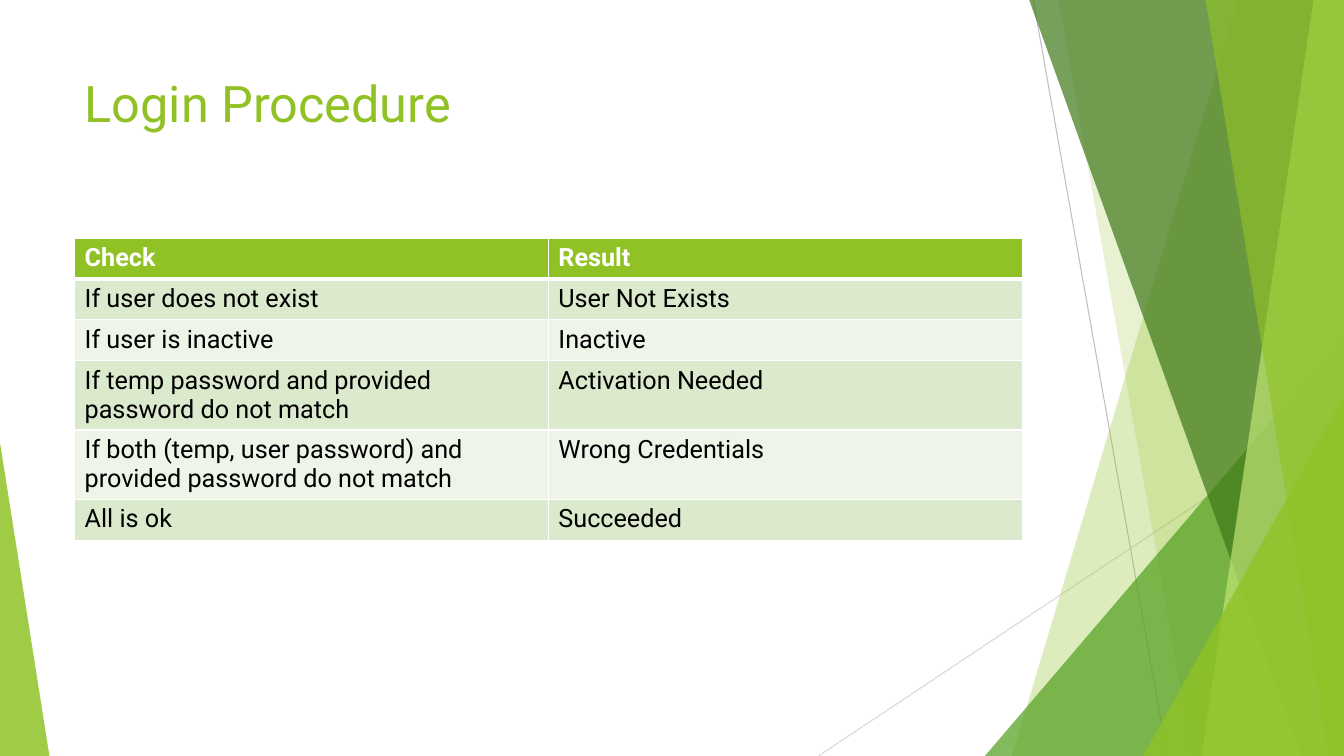
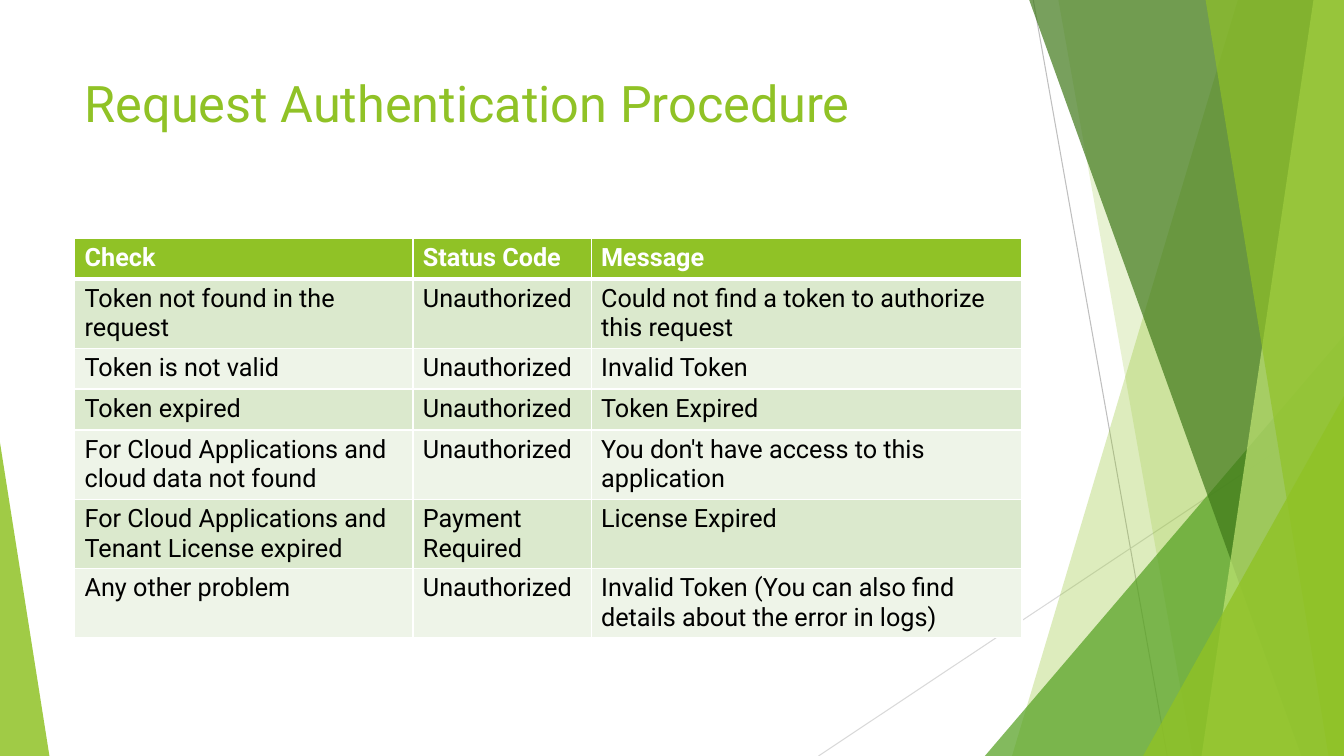
from dataclasses import dataclass
from typing import Any

from lxml import etree
from pptx import Presentation
from pptx.dml.color import RGBColor
from pptx.enum.shapes import MSO_CONNECTOR, MSO_SHAPE
from pptx.enum.text import MSO_ANCHOR, MSO_AUTO_SIZE, PP_ALIGN
from pptx.oxml.ns import qn
from pptx.util import Inches, Pt

STRAIGHT = MSO_CONNECTOR.STRAIGHT
TRIANGLE = MSO_SHAPE.ISOSCELES_TRIANGLE
TOP = MSO_ANCHOR.TOP
LEFT = PP_ALIGN.LEFT
NO_AUTOFIT = MSO_AUTO_SIZE.NONE
TITLE_ONLY = 5


@dataclass(frozen=True)
class Theme:
    """Colours, font and type sizes of the deck."""
    font: str = "Roboto"
    title_size: float = 36
    table_size: float = 18
    lime: str = "90C226"
    green: str = "54A021"
    forest: str = "3F7819"
    pale_lime: str = "C0E474"
    dark_hairline: str = "BFBFBF"
    light_hairline: str = "D9D9D9"
    white: str = "FFFFFF"
    black: str = "000000"
    stripes: tuple = ("DBE9CD", "EEF4E8")
    hairline: float = 0.75
    cell_rule: float = 1
    header_rule: float = 3


# Positions are percentages of the slide's width and height.
MARGIN, CONTENT_WIDTH = 5.55, 70.5
TITLE_TOP, TITLE_HEIGHT = 8.93, 19.2
TABLE_TOP, ROW_HEIGHT = 31.47, 5.42


@dataclass
class Deck:
    """Draws themed elements on the current slide."""
    prs: Any
    theme: Theme
    slide: Any = None

    def x(self, percent):
        """Turn a share of the slide's width into a length."""
        return round(self.prs.slide_width * percent / 100)

    def y(self, percent):
        """Turn a share of the slide's height into a length."""
        return round(self.prs.slide_height * percent / 100)

    def new_slide(self, heading):
        """Start a slide with the shared title and facets."""
        self.slide = self.prs.slides.add_slide(self.prs.slide_layouts[TITLE_ONLY])
        self.facets()
        self.title(heading)

    def add_text(self, frame, text, size, color, bold=False):
        """Put one left-aligned run in a text frame."""
        paragraph = frame.paragraphs[0]
        paragraph.alignment = LEFT
        run = paragraph.add_run()
        run.text = text
        run.font.name = self.theme.font
        run.font.size = Pt(size)
        run.font.bold = bold
        run.font.color.rgb = RGBColor.from_string(color)

    def title(self, heading):
        """Place and format the title placeholder."""
        title = self.slide.shapes.title
        title.left, title.top = self.x(MARGIN), self.y(TITLE_TOP)
        title.width, title.height = self.x(CONTENT_WIDTH), self.y(TITLE_HEIGHT)
        frame = title.text_frame
        frame.word_wrap = True
        frame.auto_size = NO_AUTOFIT
        frame.vertical_anchor = TOP
        self.add_text(frame, heading, self.theme.title_size, self.theme.lime)

    def hairline(self, start, end, color):
        """Draw a thin line between two points."""
        line = self.slide.shapes.add_connector(
            STRAIGHT, self.x(start[0]), self.y(start[1]), self.x(end[0]), self.y(end[1]))
        line.line.color.rgb = RGBColor.from_string(color)
        line.line.width = Pt(self.theme.hairline)
        etree.SubElement(line._element.spPr, qn("a:effectLst"))

    def tint(self, shape, color, opacity):
        """Give a shape a translucent fill, without line or shadow."""
        shape.shadow.inherit = False
        shape.line.fill.background()
        shape.fill.solid()
        shape.fill.fore_color.rgb = RGBColor.from_string(color)
        fill_color = shape._element.spPr.find(qn("a:solidFill")).find(qn("a:srgbClr"))
        etree.SubElement(fill_color, qn("a:alpha"), val=str(opacity * 1000))

    def band(self, top_x, bottom_x, color, opacity):
        """Draw a full-height facet from a slanted edge to the right side."""
        outline = self.slide.shapes.build_freeform(self.x(top_x), 0, scale=1.0)
        right, bottom = self.x(100), self.y(100)
        outline.add_line_segments(
            [(right, 0), (right, bottom), (self.x(bottom_x), bottom)], close=True)
        self.tint(outline.convert_to_shape(), color, opacity)

    def corner(self, left, right, top, apex, color, opacity):
        """Draw a triangle standing on the slide's bottom edge."""
        triangle = self.slide.shapes.add_shape(
            TRIANGLE, self.x(left), self.y(top), self.x(right - left), self.y(100 - top))
        triangle.adjustments[0] = apex
        self.tint(triangle, color, opacity)

    def facets(self):
        """Draw the decoration that every slide shares."""
        theme = self.theme
        self.hairline((76.88, 0), (86.85, 100), theme.dark_hairline)
        self.hairline((100, 53.73), (60.9, 100), theme.light_hairline)
        self.band(92.1, 75.3, theme.lime, 30)
        self.band(78.75, 88.73, theme.lime, 20)
        self.corner(73.28, 100, 44.4, 1, theme.green, 72)
        self.band(76.58, 96.83, theme.forest, 70)
        self.band(97.73, 89.4, theme.pale_lime, 70)
        self.band(89.7, 98.85, theme.lime, 65)
        self.corner(85.05, 100, 52.4, 1, theme.lime, 80)
        self.corner(0, 3.68, 58.53, 0, theme.lime, 85)

    def cell_borders(self, cell, row_index):
        """Rule a cell in white, heavier below the header."""
        theme = self.theme
        widths = {
            "L": theme.cell_rule,
            "R": theme.cell_rule,
            "T": theme.header_rule if row_index == 1 else theme.cell_rule,
            "B": theme.header_rule if row_index == 0 else theme.cell_rule,
        }
        properties = cell._tc.get_or_add_tcPr()
        for side, width in widths.items():
            rule = etree.SubElement(properties, qn("a:ln" + side), w=str(Pt(width)))
            fill = etree.SubElement(rule, qn("a:solidFill"))
            etree.SubElement(fill, qn("a:srgbClr"), val=theme.white)

    def table(self, column_shares, rows):
        """Draw a table with a header row and striped body."""
        theme = self.theme
        table = self.slide.shapes.add_table(
            len(rows), len(column_shares), self.x(MARGIN), self.y(TABLE_TOP),
            self.x(CONTENT_WIDTH), self.y(ROW_HEIGHT * len(rows))).table
        for column, share in zip(table.columns, column_shares):
            column.width = self.x(CONTENT_WIDTH * share / sum(column_shares))
        for row_index, texts in enumerate(rows):
            table.rows[row_index].height = self.y(ROW_HEIGHT)
            header = row_index == 0
            background = theme.lime if header else theme.stripes[(row_index - 1) % 2]
            ink = theme.white if header else theme.black
            for column_index, text in enumerate(texts):
                cell = table.cell(row_index, column_index)
                self.cell_borders(cell, row_index)
                cell.fill.solid()
                cell.fill.fore_color.rgb = RGBColor.from_string(background)
                self.add_text(cell.text_frame, text, theme.table_size, ink, header)


LOGIN_CHECKS = [
    ("Check", "Result"),
    ("If user does not exist", "User Not Exists"),
    ("If user is inactive", "Inactive"),
    ("If temp password and provided password do not match", "Activation Needed"),
    ("If both (temp, user password) and provided password do not match",
     "Wrong Credentials"),
    ("All is ok", "Succeeded"),
]

REQUEST_CHECKS = [
    ("Check", "Status Code", "Message"),
    ("Token not found in the request", "Unauthorized",
     "Could not find a token to authorize this request"),
    ("Token is not valid", "Unauthorized", "Invalid Token"),
    ("Token expired", "Unauthorized", "Token Expired"),
    ("For Cloud Applications and cloud data not found", "Unauthorized",
     "You don't have access to this application"),
    ("For Cloud Applications and Tenant License expired", "Payment Required",
     "License Expired"),
    ("Any other problem", "Unauthorized",
     "Invalid Token (You can also find details about the error in logs)"),
]


def main():
    """Build and save the presentation."""
    prs = Presentation()
    prs.slide_width, prs.slide_height = Inches(13.33), Inches(7.5)
    deck = Deck(prs, Theme())
    deck.new_slide("Login Procedure")
    deck.table((1, 1), LOGIN_CHECKS)
    deck.new_slide("Request Authentication Procedure")
    deck.table((3.36, 1.77, 4.28), REQUEST_CHECKS)
    prs.save("out.pptx")


main()
